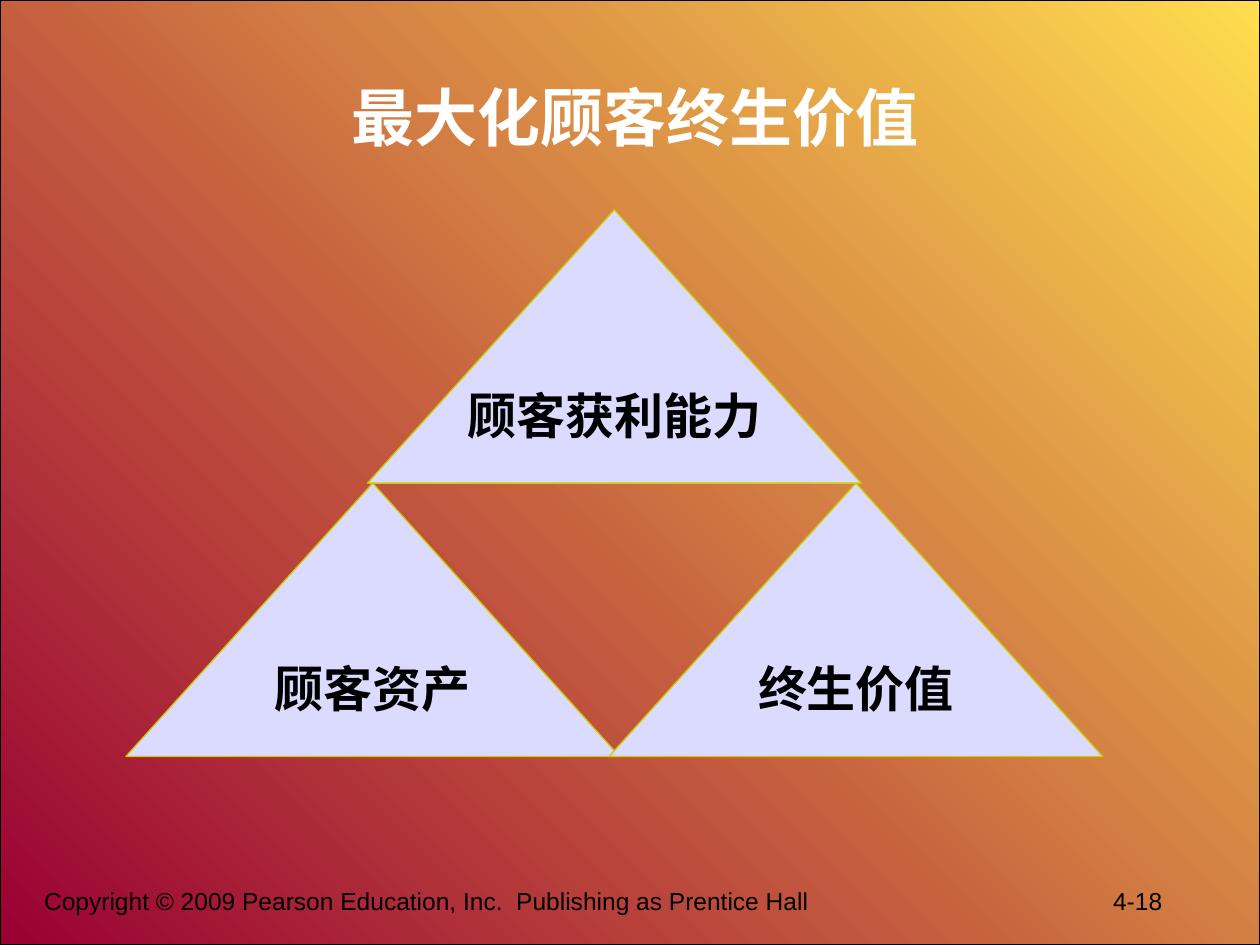
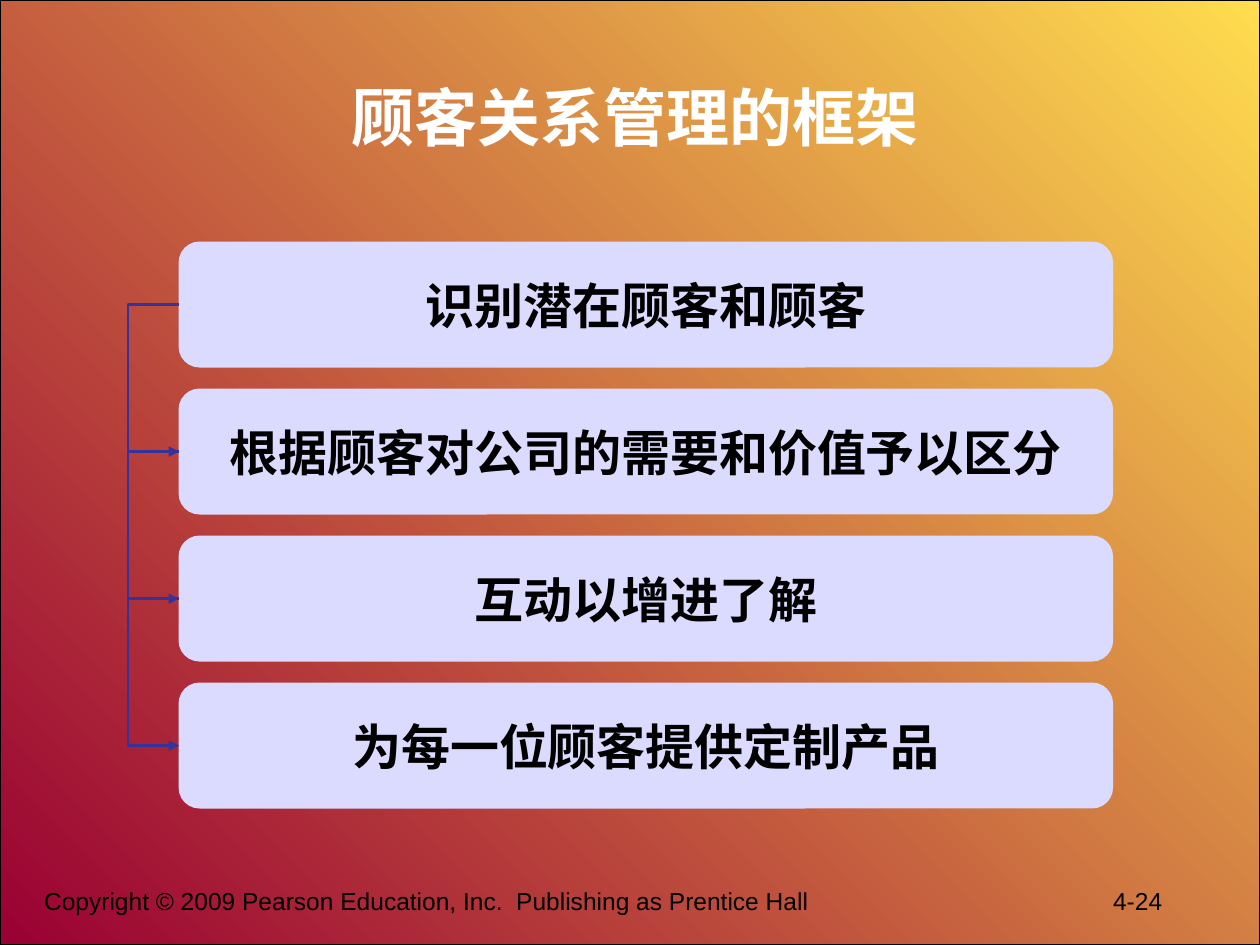
from lxml.etree import SubElement
from pptx import Presentation
from pptx.dml.color import RGBColor
from pptx.enum.shapes import MSO_CONNECTOR, MSO_SHAPE
from pptx.enum.text import MSO_ANCHOR, PP_ALIGN
from pptx.oxml.ns import qn
from pptx.util import Cm, Pt

SLIDE_WIDTH, SLIDE_HEIGHT = Cm(25.4), Cm(19.05)
YELLOW = RGBColor(0xFF, 0xDD, 0x4F)
CRIMSON = RGBColor(0x99, 0x00, 0x33)
LAVENDER = RGBColor(0xDB, 0xDB, 0xFF)
OLIVE = RGBColor(0xCC, 0xCC, 0x00)
INDIGO = RGBColor(0x33, 0x33, 0x99)
WHITE = RGBColor(0xFF, 0xFF, 0xFF)
BLACK = RGBColor(0x00, 0x00, 0x00)
LATIN_FONT = "Arial"
CHINESE_FONT = "Noto Sans CJK SC"
COPYRIGHT = "Copyright © 2009 Pearson Education, Inc.  Publishing as Prentice Hall"


def format_paragraph(paragraph, size, color, name=LATIN_FONT, bold=False):
    font = paragraph.font
    font.name, font.size, font.bold = name, Pt(size), bold
    font.color.rgb = color
    properties = paragraph._p.pPr.find(qn("a:defRPr"))
    SubElement(properties, qn("a:ea")).set("typeface", CHINESE_FONT)


# Shared frame: background, title, footer
def add_background(layout, slide):
    """Build the gradient panel and move it to the layout, behind everything."""
    panel = slide.shapes.add_shape(MSO_SHAPE.RECTANGLE, 0, 0, SLIDE_WIDTH, SLIDE_HEIGHT)
    panel.shadow.inherit = False
    panel.fill.gradient()
    panel.fill.gradient_angle = 225
    for stop, color in zip(panel.fill.gradient_stops, (YELLOW, CRIMSON)):
        stop.color.rgb = color
    panel.line.color.rgb = BLACK
    panel.line.width = Pt(0.75)
    layout.shapes.element.insert(2, panel.element)


def set_title(slide, text, left, width):
    title = slide.shapes.title
    title.left, title.top, title.width, title.height = left, Cm(0.76), width, Cm(3.18)
    title.text_frame.text = text
    title.text_frame.vertical_anchor = MSO_ANCHOR.MIDDLE
    paragraph = title.text_frame.paragraphs[0]
    paragraph.alignment = PP_ALIGN.CENTER
    format_paragraph(paragraph, 36, WHITE, CHINESE_FONT, bold=True)


def add_footer(slide, page):
    footer = slide.shapes.add_textbox(Cm(0.64), Cm(17.73), Cm(23.7), Cm(1.32))
    footer.text_frame.word_wrap = True
    paragraph = footer.text_frame.paragraphs[0]
    paragraph.text = f"{COPYRIGHT}\t{page}"
    tabs = SubElement(paragraph._p.get_or_add_pPr(), qn("a:tabLst"))
    SubElement(tabs, qn("a:tab"), pos=str(Cm(21.55)), algn="l")
    format_paragraph(paragraph, 14, BLACK)


def add_label_shape(slide, kind, text, left, top, width, height):
    shape = slide.shapes.add_shape(kind, left, top, width, height)
    shape.shadow.inherit = False
    shape.fill.solid()
    shape.fill.fore_color.rgb = LAVENDER
    shape.line.fill.background()
    frame = shape.text_frame
    frame.text = text
    frame.word_wrap = False
    frame.vertical_anchor = MSO_ANCHOR.MIDDLE
    paragraph = frame.paragraphs[0]
    paragraph.alignment = PP_ALIGN.CENTER
    format_paragraph(paragraph, 28, BLACK, bold=True)
    return shape


# Pyramid of three triangles
def add_pyramid(slide, labels, left, top):
    width, height, half_step = Cm(9.95), Cm(5.51), Cm(4.87)
    for label, (column, row) in zip(labels, ((1, 0), (0, 1), (2, 1))):
        triangle = add_label_shape(
            slide, MSO_SHAPE.ISOSCELES_TRIANGLE, label,
            left + column * half_step, top + row * height, width, height)
        triangle.line.color.rgb = OLIVE
        triangle.line.width = Pt(0.75)


# Stack of steps, each joined to the next by a bent arrow on the left
def add_bent_arrow(slide, upper, lower, branch):
    arrow = slide.shapes.add_connector(MSO_CONNECTOR.ELBOW, 0, 0, 0, 0)
    arrow.begin_connect(upper, 1)
    arrow.end_connect(lower, 1)
    arrow.line.color.rgb = INDIGO
    arrow.line.width = Pt(1.5)
    SubElement(arrow.line._get_or_add_ln(), qn("a:tailEnd"), type="triangle")
    properties = arrow.element.spPr
    SubElement(properties, qn("a:effectLst"))
    # The bend is a multiple of the width, so the width must not be zero
    arrow.width = Cm(0.01)
    for name, value in (("rot", "10800000"), ("flipH", "1"), ("flipV", "1")):
        properties.find(qn("a:xfrm")).set(name, value)
    bend = -round(branch / arrow.width * 100000)
    guides = properties.find(qn("a:prstGeom")).find(qn("a:avLst"))
    SubElement(guides, qn("a:gd"), name="adj1", fmla=f"val {bend}")


def add_steps(slide, labels, left, top, width):
    height, step, branch = Cm(2.54), Cm(8.89) // 3, Cm(1.02)
    boxes = [
        add_label_shape(slide, MSO_SHAPE.ROUNDED_RECTANGLE, label,
                        left, top + row * step, width, height)
        for row, label in enumerate(labels)]
    for upper, lower in zip(boxes, boxes[1:]):
        add_bent_arrow(slide, upper, lower, branch)


def main():
    presentation = Presentation()
    presentation.slide_width, presentation.slide_height = SLIDE_WIDTH, SLIDE_HEIGHT
    layout = presentation.slide_layouts[5]

    # Customer lifetime value
    value_slide = presentation.slides.add_slide(layout)
    add_background(layout, value_slide)
    set_title(value_slide, "最大化顾客终生价值", Cm(0.84), Cm(23.93))
    add_footer(value_slide, "4-18")
    add_pyramid(value_slide, ("顾客获利能力", "顾客资产", "终生价值"), Cm(2.54), Cm(4.23))

    # Customer relationship framework
    framework_slide = presentation.slides.add_slide(layout)
    set_title(framework_slide, "顾客关系管理的框架", Cm(2.11), Cm(21.39))
    add_footer(framework_slide, "4-24")
    steps = ("识别潜在顾客和顾客", "根据顾客对公司的需要和价值予以区分",
             "互动以增进了解", "为每一位顾客提供定制产品")
    add_steps(framework_slide, steps, Cm(3.6), Cm(4.87), Cm(18.84))

    presentation.save("out.pptx")


if __name__ == "__main__":
    main()
